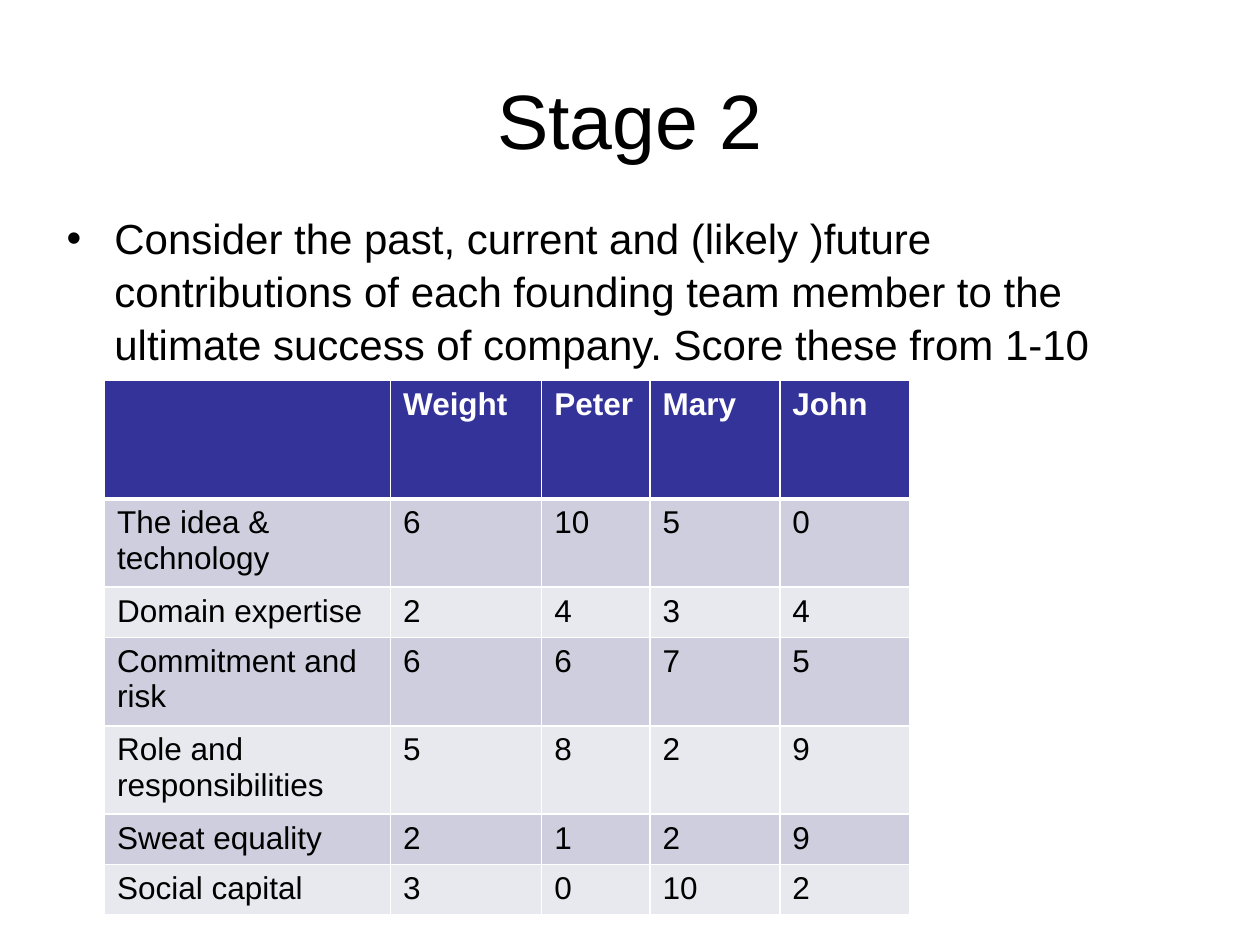
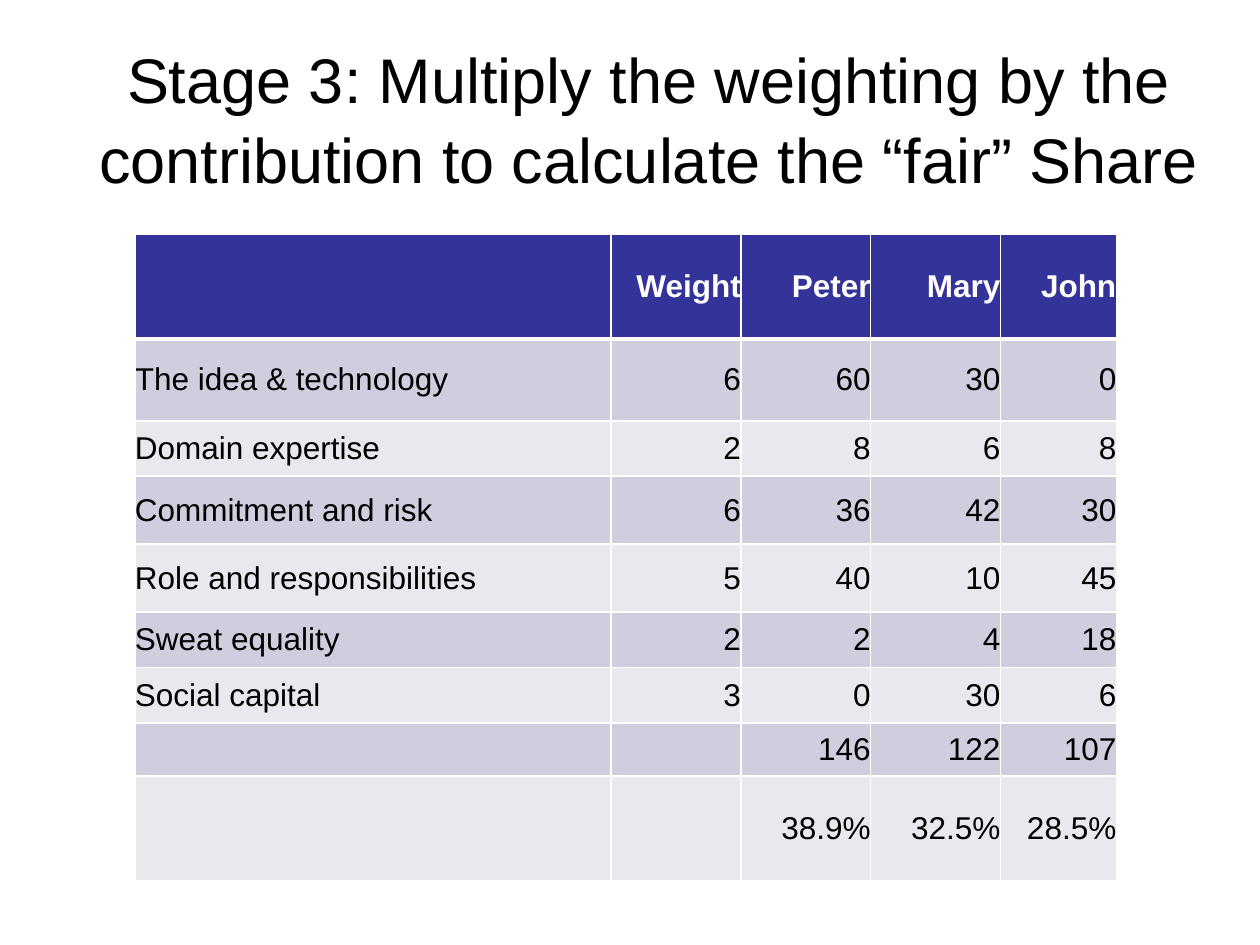
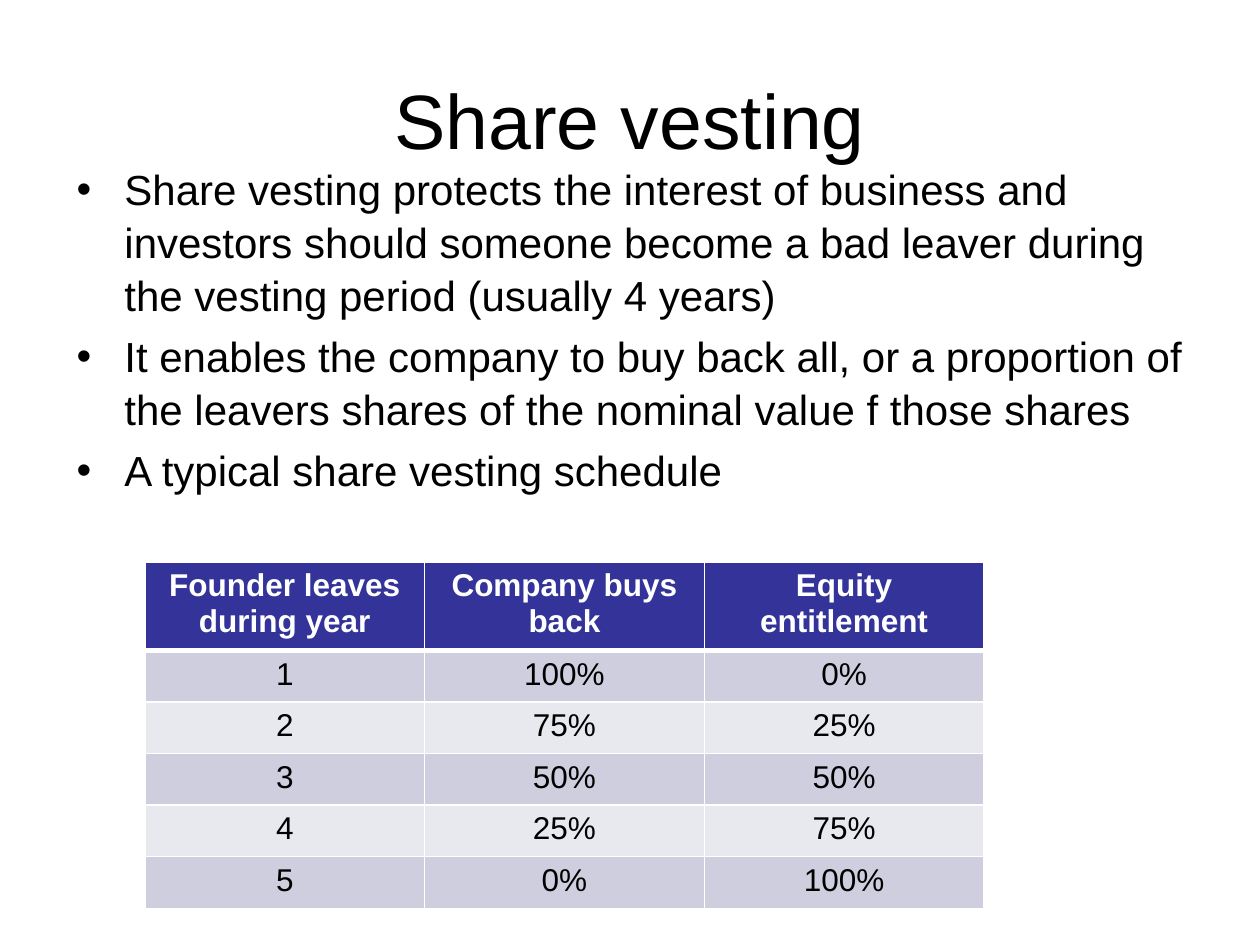
from pptx import Presentation, util as u
from pptx.dml.color import RGBColor
from pptx.enum import text
from pptx.oxml import parse_xml
from pptx.oxml.ns import nsdecls

FONT = "Arial"
INK, WHITE, HEADER = "000000", "FFFFFF", "333399"
BANDS = ("CECEDE", "E8E8EF")
LEFT, CENTER, RIGHT = text.PP_ALIGN.LEFT, text.PP_ALIGN.CENTER, text.PP_ALIGN.RIGHT

PEOPLE = ["", "Weight", "Peter", "Mary", "John"]
SCORES = [
    ("The idea & technology", 6, 10, 5, 0),
    ("Domain expertise", 2, 4, 3, 4),
    ("Commitment and risk", 6, 6, 7, 5),
    ("Role and responsibilities", 5, 8, 2, 9),
    ("Sweat equality", 2, 1, 2, 9),
    ("Social capital", 3, 0, 10, 2),
]
weighted = [(name, w, *(w * s for s in scores)) for name, w, *scores in SCORES]
totals = [sum(col) for col in list(zip(*weighted))[2:]]
shares = [f"{t / sum(totals):.1%}" for t in totals]

VESTING = [("Founder leaves during year", "Company buys back", "Equity entitlement")]
VESTING += [(year, f"{125 - 25 * year}%", f"{25 * year - 25}%") for year in range(1, 6)]

SLIDES = [
    dict(
        title=("Stage 2", 44, 9),
        bullets=[
            "Consider the past, current and (likely )future contributions of each founding "
            "team member to the ultimate success of company. Score these from 1-10",
        ],
        body_at=(0.43, 1.62),
        rows=[PEOPLE, *SCORES],
        at=(0.83, 3.02),
        cols=[2.27, 1.2, 0.86, 1.03, 1.03],
        heights=[0.94, 0.66, 0.4, 0.66, 0.66, 0.4, 0.4],
        aligns=[LEFT] * 5,
    ),
    dict(
        title=("Stage 3: Multiply the weighting by the contribution to calculate "
               "the “fair” Share", 36, 9.3),
        rows=[PEOPLE, *weighted, ["", "", *totals], ["", "", *shares]],
        at=(1.07, 1.86),
        cols=[3.78, 1.03, 1.03, 1.03, 0.92],
        heights=[0.83, 0.65, 0.44, 0.54, 0.54, 0.44, 0.44, 0.42, 0.83],
        aligns=[LEFT] + [RIGHT] * 4,
        tight=True,
    ),
    dict(
        title=("Share vesting", 44, 9),
        bullets=[
            "Share vesting protects the interest of business and investors should someone "
            "become a bad leaver during the vesting period (usually 4 years)",
            "It enables the company to buy back all, or a proportion of the leavers shares "
            "of the nominal value f those shares",
            "A typical share vesting schedule",
        ],
        body_at=(0.51, 1.23),
        rows=VESTING,
        at=(1.15, 4.46),
        cols=[2.22] * 3,
        heights=[0.65] + [0.41] * 5,
        aligns=[CENTER] * 3,
    ),
]


def rgb(value):
    return RGBColor.from_string(value)


def style(p, size, color=INK, bold=False, align=LEFT):
    p.alignment = align
    for r in p.runs:
        r.font.name, r.font.size, r.font.bold = FONT, u.Pt(size), bold
        r.font.color.rgb = rgb(color)


def add_text(s, x, y, w, h, lines):
    tf = s.shapes.add_textbox(*map(u.Inches, (x, y, w, h))).text_frame
    tf.word_wrap = True
    tf.text = "\n".join(lines)
    for p in tf.paragraphs:
        p.line_spacing = 1.05
    return tf


def add_title(s, title, size, width):
    tf = add_text(s, 0.5, 0.3, width, 1.25, [title])
    tf.vertical_anchor = text.MSO_ANCHOR.MIDDLE
    style(tf.paragraphs[0], size, align=CENTER)


def add_bullets(s, at, lines):
    for p in add_text(s, *at, 9, 4.95, lines).paragraphs:
        style(p, 24)
        p.space_before = u.Pt(4.8)
        pr = p._p.get_or_add_pPr()
        pr.set("marL", str(u.Inches(0.38)))
        pr.set("indent", str(u.Inches(-0.38)))
        pr.append(parse_xml(f'<a:buFont {nsdecls("a")} typeface="{FONT}"/>'))
        pr.append(parse_xml(f'<a:buChar {nsdecls("a")} char="•"/>'))


def set_borders(cell, row):
    pr = cell._tc.get_or_add_tcPr()
    widths = dict(L=1, R=1, T=3 if row == 1 else 1, B=3 if row == 0 else 1)
    for i, (side, width) in enumerate(widths.items()):
        pr.insert(i, parse_xml(
            f'<a:ln{side} {nsdecls("a")} w="{u.Pt(width)}"><a:solidFill>'
            f'<a:srgbClr val="{WHITE}"/></a:solidFill></a:ln{side}>'))


def add_grid(s, rows, at, cols, heights, aligns, tight=False):
    size = (sum(cols), sum(heights))
    table = s.shapes.add_table(len(rows), len(cols), *map(u.Inches, at + size)).table
    for col, width in zip(table.columns, cols):
        col.width = u.Inches(width)
    for i, (row, height) in enumerate(zip(rows, heights)):
        table.rows[i].height = u.Inches(height)
        for j, value in enumerate(row):
            cell = table.cell(i, j)
            cell.text = str(value)
            cell.fill.solid()
            cell.fill.fore_color.rgb = rgb(BANDS[(i - 1) % 2] if i else HEADER)
            style(cell.text_frame.paragraphs[0], 18, INK if i else WHITE, i == 0, aligns[j])
            if tight:
                cell.vertical_anchor = text.MSO_ANCHOR.MIDDLE
                cell.margin_left = cell.margin_right = 0
                cell.margin_top = cell.margin_bottom = 0
            set_borders(cell, i)


def main():
    prs = Presentation()
    prs.slide_width, prs.slide_height = u.Inches(10), u.Inches(7.5)
    for page in SLIDES:
        s = prs.slides.add_slide(prs.slide_layouts[6])
        add_title(s, *page["title"])
        if "bullets" in page:
            add_bullets(s, page["body_at"], page["bullets"])
        add_grid(s, page["rows"], page["at"], page["cols"], page["heights"],
                 page["aligns"], page.get("tight", False))
    prs.save("out.pptx")


if __name__ == "__main__":
    main()
